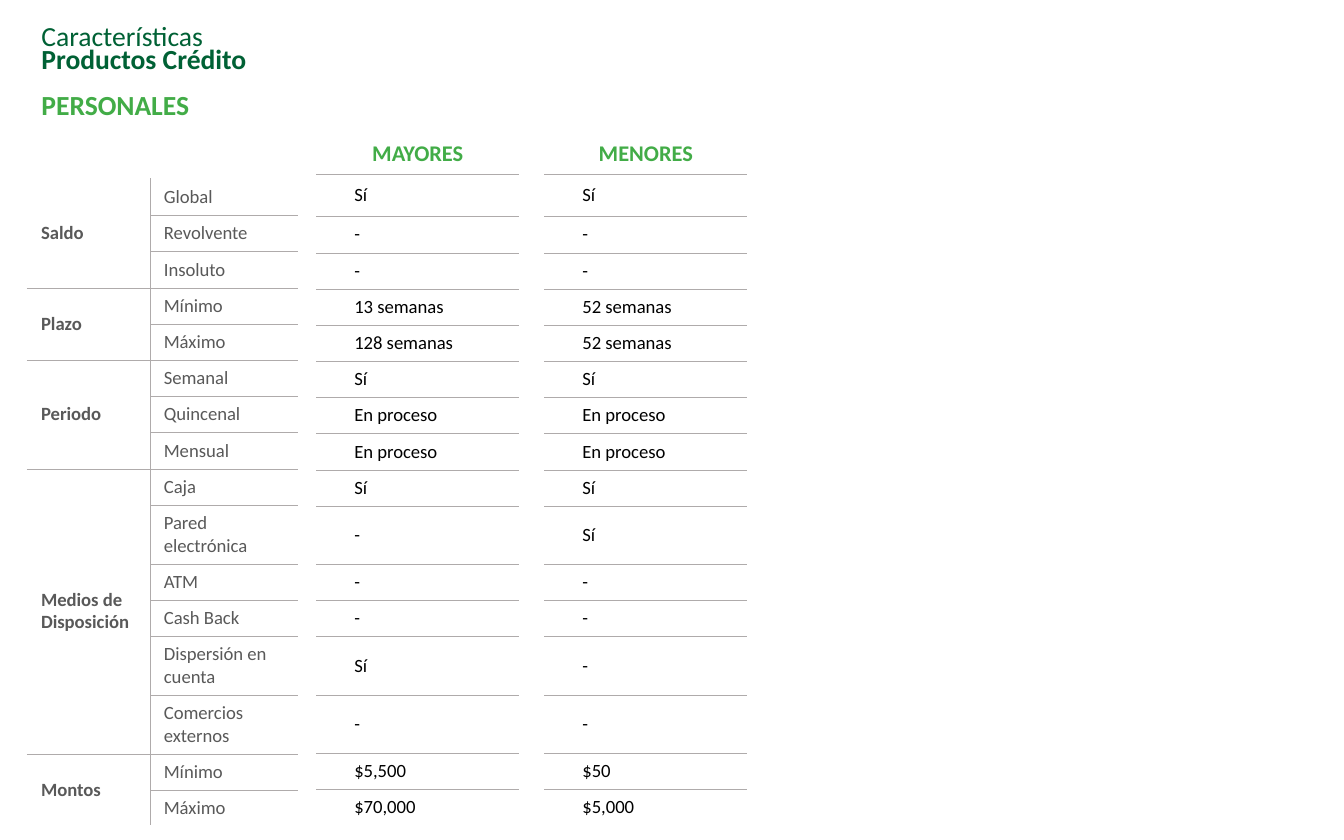
from dataclasses import dataclass

from lxml.etree import SubElement
from pptx import Presentation
from pptx.dml.color import RGBColor as RGB
from pptx.enum.text import MSO_ANCHOR as ANCHOR, MSO_AUTO_SIZE as AUTO, PP_ALIGN as ALIGN
from pptx.oxml.ns import qn
from pptx.util import Pt


@dataclass(frozen=True)
class Theme:
    font: str = "Calibri"
    dark_green: str = "006135"
    green: str = "42AC47"
    gray: str = "595959"
    black: str = "000000"
    white: str = "FFFFFF"
    rule: str = "AFABAB"
    title: float = 14.8
    head: float = 12
    body: float = 10


T = Theme()
ROW, TALL = 19.4, 31.2

GROUPS = [
    ("Saldo", ["Global", "Revolvente", "Insoluto"]),
    ("Plazo", ["Mínimo", "Máximo"]),
    ("Periodo", ["Semanal", "Quincenal", "Mensual"]),
    ("Medios de Disposición", ["Caja", "Pared electrónica", "ATM", "Cash Back",
                               "Dispersión en cuenta", "Comercios externos"]),
    ("Montos", ["Mínimo", "Máximo"]),
]
PRODUCTS = [
    ("MAYORES", 169.8, ["Sí", "-", "-", "13 semanas", "128 semanas", "Sí", "En proceso",
                        "En proceso", "Sí", "-", "-", "-", "Sí", "-", "$5,500", "$70,000"]),
    ("MENORES", 292, ["Sí", "-", "-", "52 semanas", "52 semanas", "Sí", "En proceso",
                      "En proceso", "Sí", "Sí", "-", "-", "-", "-", "$50", "$5,000"]),
]


def add_plain_table(s, x, y, widths, heights):
    """Add a table without header or banding styles; lengths are in points."""
    table = s.shapes.add_table(len(heights), len(widths), Pt(x), Pt(y),
                               Pt(sum(widths)), Pt(sum(heights))).table
    table.first_row = table.horz_banding = False
    for col, width in zip(table.columns, widths):
        col.width = Pt(width)
    for row, height in zip(table.rows, heights):
        row.height = Pt(height)
    return table


def format_cell(cell, text, color, ruled, bold=False, size=T.body):
    """Fill in a cell; the sides named in ruled (L, R, T, B) get a gray rule."""
    cell.text = text
    cell.vertical_anchor = ANCHOR.MIDDLE
    font = cell.text_frame.paragraphs[0].font
    font.name, font.size, font.bold = T.font, Pt(size), bold
    font.color.rgb = RGB.from_string(color)
    for side in "LRTB":
        width, line = (0.25, T.rule) if side in ruled else (1, T.white)
        ln = SubElement(cell._tc.get_or_add_tcPr(), qn(f"a:ln{side}"), w=str(Pt(width)))
        SubElement(SubElement(ln, qn("a:solidFill")), qn("a:srgbClr"), val=line)
    cell.fill.background()


prs = Presentation()
prs.slide_width, prs.slide_height = Pt(720), Pt(450)
s = prs.slides.add_slide(prs.slide_layouts[5])

# Title
title = s.shapes.title
title.left, title.top, title.width, title.height = Pt(15), Pt(9.4), Pt(576), Pt(60.5)
tf = title.text_frame
tf.text = "Características\nProductos Crédito\nPERSONALES"
tf.word_wrap, tf.auto_size, tf.vertical_anchor = True, AUTO.NONE, ANCHOR.MIDDLE
for p, color, bold, gap in zip(tf.paragraphs, (T.dark_green, T.dark_green, T.green),
                               (False, True, True), (0, 0, 12.6)):
    p.alignment, p.line_spacing, p.space_before = ALIGN.LEFT, 0.7, Pt(gap)
    p.font.name, p.font.size, p.font.bold = T.font, Pt(T.title), bold
    p.font.color.rgb = RGB.from_string(color)

# Features, grouped by category
features = [feature for _, names in GROUPS for feature in names]
heights = [TALL if len(name) > 12 else ROW for name in features]
last = len(features) - 1
table = add_plain_table(s, 14.8, 96, [65.8, 78.6], heights)
first = 0
for category, names in GROUPS:
    end = first + len(names) - 1
    sides = "R" + ("T" if first > 0 else "") + ("B" if end < last else "")
    for i in range(first, end + 1):
        format_cell(table.cell(i, 0), category if i == first else "", T.gray, sides, bold=True)
        sides_right = "L" + ("T" if i > 0 else "") + ("B" if i < last else "")
        format_cell(table.cell(i, 1), features[i], T.gray, sides_right)
    table.cell(first, 0).merge(table.cell(end, 0))
    first = end + 1

# One column of values per product
value_heights = [69.4, 22.8] + heights[1:]
for product, x, values in PRODUCTS:
    table = add_plain_table(s, x, 23.8, [108], value_heights)
    head = table.cell(0, 0)
    format_cell(head, product, T.green, "B", bold=True, size=T.head)
    head.vertical_anchor = ANCHOR.BOTTOM
    head.text_frame.paragraphs[0].alignment = ALIGN.CENTER
    for i, value in enumerate(values):
        cell = table.cell(i + 1, 0)
        format_cell(cell, value, T.black, "TB" if i < last else "T")
        cell.margin_left = Pt(20)

prs.save("out.pptx")
